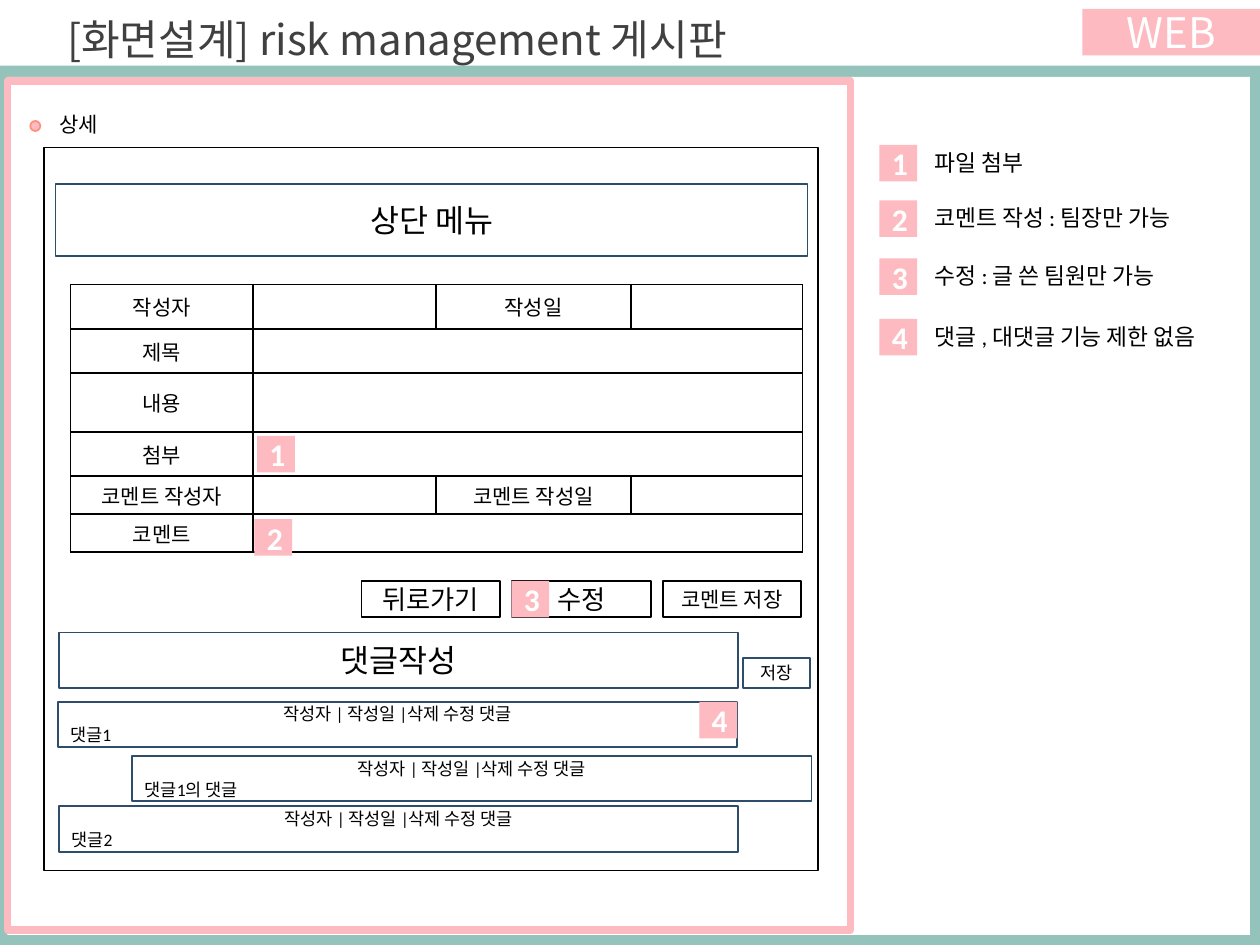
from dataclasses import dataclass

from lxml import etree
from pptx import Presentation
from pptx.dml.color import RGBColor
from pptx.enum.shapes import MSO_SHAPE
from pptx.enum.text import MSO_ANCHOR, MSO_AUTO_SIZE, PP_ALIGN
from pptx.oxml.ns import qn
from pptx.util import Inches, Pt

RECT, OVAL = MSO_SHAPE.RECTANGLE, MSO_SHAPE.OVAL
LEFT, MID = PP_ALIGN.LEFT, PP_ALIGN.CENTER
CENTER = MSO_ANCHOR.MIDDLE
FIXED = MSO_AUTO_SIZE.NONE

WHITE = RGBColor(0xFF, 0xFF, 0xFF)
BLACK = RGBColor(0, 0, 0)
GRAY = RGBColor(0x40, 0x40, 0x40)
TEAL = RGBColor(0x94, 0xC3, 0xBB)
PINK = RGBColor(0xFD, 0xBB, 0xC1)
CORAL = RGBColor(0xFE, 0x90, 0x7E)
NAVY = RGBColor(0x2D, 0x4D, 0x6A)

BODY, HEAD = "Calibri", "Noto Sans CJK KR"
COLS, ROWS = 100, 75  # the slide as a grid of square units
UNIT = Inches(10) // COLS


@dataclass
class Area:
    """A place on the slide, in grid units."""
    col: float
    row: float
    wide: float
    high: float

    def emu(self) -> list[int]:
        return [round(n * UNIT) for n in (self.col, self.row, self.wide, self.high)]


@dataclass
class Box:
    area: Area
    text: str = ""
    size: float = 12
    fill: RGBColor | None = WHITE
    line: RGBColor | None = None
    width: float = 1
    ink: RGBColor = BLACK
    font: str = BODY
    bold: bool = False
    form: MSO_SHAPE = RECT


def style(para, size: float, ink: RGBColor = BLACK, font: str = BODY,
          align: PP_ALIGN = MID, bold: bool = False) -> None:
    para.alignment = align
    para.font.size = Pt(size)
    para.font.name = font
    para.font.bold = bold
    para.font.color.rgb = ink


def draw(slide, box: Box) -> None:
    """Draw a box; its first line is centred, any further line is set left."""
    shape = slide.shapes.add_shape(box.form, *box.area.emu())
    shape.shadow.inherit = False
    if box.fill is None:
        shape.fill.background()
    else:
        shape.fill.solid()
        shape.fill.fore_color.rgb = box.fill
    if box.line is None:
        shape.line.fill.background()
    else:
        shape.line.color.rgb = box.line
        shape.line.width = Pt(box.width)
    if box.text:
        frame = shape.text_frame
        frame.text = box.text
        frame.vertical_anchor = CENTER
        for i, para in enumerate(frame.paragraphs):
            style(para, box.size, box.ink, box.font, LEFT if i else MID, box.bold)


def badge(slide, num: int, col: float, row: float) -> None:
    draw(slide, Box(Area(col, row, 3, 2.9), str(num), 18, PINK, ink=WHITE, bold=True))


def label(slide, text: str, area: Area, size: float) -> None:
    frame = slide.shapes.add_textbox(*area.emu()).text_frame
    frame.word_wrap = True
    frame.text = text
    style(frame.paragraphs[0], size, align=LEFT)


def border(cell) -> None:
    props = cell._tc.get_or_add_tcPr()
    for side in ("a:lnL", "a:lnR", "a:lnT", "a:lnB"):
        line = etree.SubElement(props, qn(side), w=str(Pt(1)))
        fill = etree.SubElement(line, qn("a:solidFill"))
        etree.SubElement(fill, qn("a:srgbClr"), val=str(BLACK))


def form(slide, area: Area, cols: list[float], rows: list[tuple]) -> None:
    """Draw the post's table; a row with one name spans its other columns."""
    table = slide.shapes.add_table(len(rows), len(cols), *area.emu()).table
    table.first_row = table.horz_banding = False
    for col, wide in zip(table.columns, cols):
        col.width = round(wide * UNIT)
    for r, (high, *names) in enumerate(rows):
        table.rows[r].height = round(high * UNIT)
        for c in range(len(cols)):
            cell = table.cell(r, c)
            border(cell)
            cell.fill.solid()
            cell.fill.fore_color.rgb = WHITE
            cell.margin_top = cell.margin_bottom = 0
            cell.vertical_anchor = CENTER
            if c % 2 == 0 and c // 2 < len(names):
                cell.text = names[c // 2]
            style(cell.text_frame.paragraphs[0], 12)
        if len(names) == 1:
            table.cell(r, 1).merge(table.cell(r, len(cols) - 1))


def head(slide, text: str) -> None:
    title = slide.shapes.title
    title.left, title.top, title.width, title.height = Area(0, 0, 63, 6.1).emu()
    frame = title.text_frame
    frame.text = text
    frame.auto_size = FIXED
    frame.vertical_anchor = CENTER
    style(frame.paragraphs[0], 24, GRAY, HEAD)
    slide.shapes._spTree.append(title._element)  # in front of the teal band


FRAME = [
    Box(Area(0, 5.2, COLS, ROWS - 5.2), fill=TEAL),
    Box(Area(0.6, 6.1, 98.6, 68.1)),
    Box(Area(0.6, 6.4, 66.9, 67.4), fill=None, line=PINK, width=4.5),
    Box(Area(2.4, 9.6, 0.8, 0.8), fill=PINK, line=CORAL, form=OVAL),
    Box(Area(85.9, 0.7, 14.1, 3.7), "WEB", 24, PINK, ink=WHITE, font=HEAD),
    Box(Area(3.5, 11.7, 61.4, 57.4), line=BLACK),
    Box(Area(4.4, 14.6, 59.7, 5.7), "상단 메뉴", 18, line=NAVY),
    Box(Area(4.7, 50.2, 53.9, 4.4), "댓글작성", 18, line=NAVY),
    Box(Area(59, 52.2, 5.3, 2.4), "저장", 10, line=NAVY),
]
FIELDS = [
    (3.5, "작성자", "작성일"),
    (3.5, "제목"),
    (4.7, "내용"),
    (3.5, "첨부"),
    (3, "코멘트 작성자", "코멘트 작성일"),
    (3, "코멘트"),
]
BUTTONS = [("뒤로가기", 15), ("수정", 15), ("코멘트 저장", 12)]
REPLIES = [(4.6, 55.7, "댓글1"), (10.5, 60, "댓글1의 댓글"), (4.7, 64, "댓글2")]
MARKS = [(20.4, 34.6), (20.2, 41.2), (40.6, 46.1), (55.5, 55.7)]
NOTES = [
    (11.5, "파일 첨부"),
    (15.9, "코멘트 작성 : 팀장만 가능"),
    (20.5, "수정 : 글 쓴 팀원만 가능"),
    (25.3, "댓글 , 대댓글 기능 제한 없음"),
]


def main() -> None:
    deck = Presentation()
    deck.slide_width, deck.slide_height = COLS * UNIT, ROWS * UNIT
    slide = deck.slides.add_slide(deck.slide_layouts[5])
    for box in FRAME:
        draw(slide, box)
    label(slide, "상세", Area(3.7, 8.4, 38.2, 3), 12)
    form(slide, Area(5.6, 22.6, 58.1, 21.2), [14.5, 14.5, 15.5, 13.6], FIELDS)
    for i, (text, size) in enumerate(BUTTONS):
        draw(slide, Box(Area(28.7 + 11.95 * i, 46.1, 11, 2.9), text, size, line=BLACK))
    for col, row, name in REPLIES:
        text = f"작성자 | 작성일 |삭제 수정 댓글\n{name}"
        draw(slide, Box(Area(col, row, 53.9, 3.6), text, 10, line=NAVY))
    for num, (col, row) in enumerate(MARKS, 1):
        badge(slide, num, col, row)
    for num, (row, text) in enumerate(NOTES, 1):
        badge(slide, num, 69.8, row)
        label(slide, text, Area(73.2, row - 0.2, 24.9, 3.2), 13)
    head(slide, "[화면설계] risk management 게시판")
    deck.save("out.pptx")


if __name__ == "__main__":
    main()
